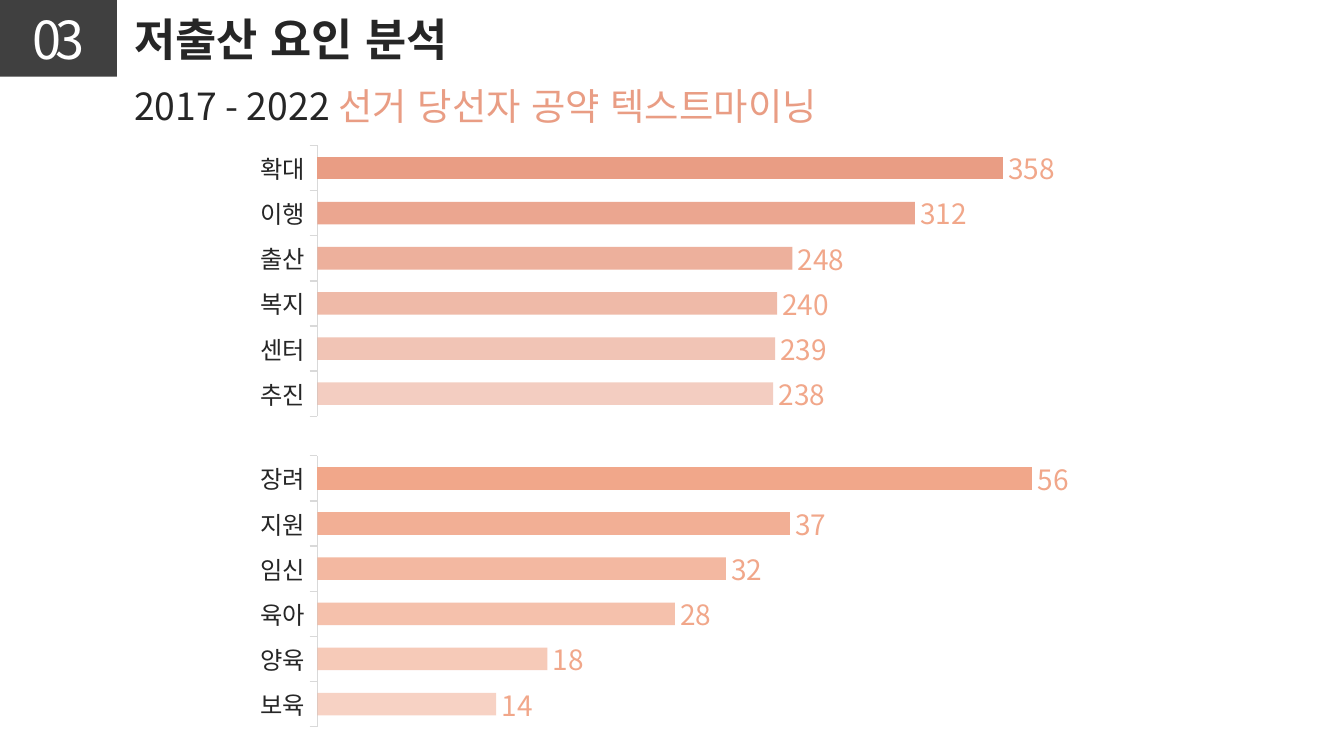
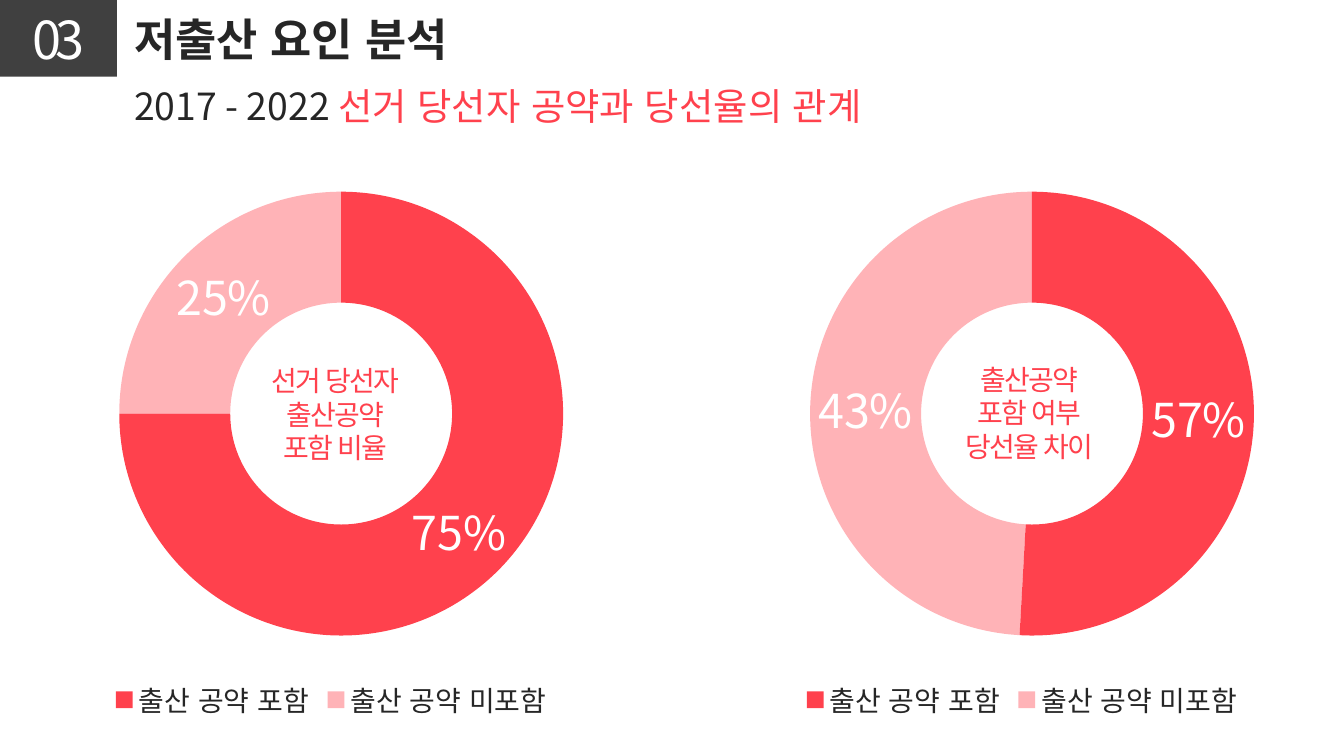
"""Build two slides on election pledges and the low birth rate."""
from lxml.etree import SubElement
from pptx import Presentation
from pptx.chart.data import CategoryChartData
from pptx.dml.color import RGBColor
from pptx.enum.chart import (
    XL_CHART_TYPE as ChartType,
    XL_LABEL_POSITION as LabelPosition,
    XL_LEGEND_POSITION as LegendPosition,
    XL_TICK_MARK as TickMark,
)
from pptx.enum.lang import MSO_LANGUAGE_ID as Language
from pptx.enum.shapes import MSO_SHAPE as Shape
from pptx.enum.text import MSO_ANCHOR as Anchor, MSO_AUTO_SIZE as AutoSize, PP_ALIGN as Align
from pptx.oxml import parse_xml
from pptx.oxml.ns import nsdecls, qn
from pptx.util import Inches, Pt

FONT = "Noto Sans CJK KR"
INK, BAND, WHITE, RULE = "262626", "404040", "FFFFFF", "D9D9D9"
SALMON, PEACH, RED = "E99D84", "F1A78A", "FF414D"
PLEDGE_CATEGORIES = ["출산 공약 포함", "출산 공약 미포함"]
RING_PLOT = {"x": 0.18, "y": 0.057, "w": 0.67, "h": 0.826}


def rgb(color):
    return RGBColor.from_string(color)


def style(font, size, color, bold=False, spacing=0):
    font.size = Pt(size)
    font.bold = bold
    font.color.rgb = rgb(color)
    font.name = FONT
    font.language_id = Language.KOREAN
    SubElement(font._rPr, qn("a:ea"), typeface=FONT)
    font._rPr.set("kern", "0")
    if spacing:
        font._rPr.set("spc", str(spacing * 100))


def paint(fill, color, opacity=100):
    fill.solid()
    fill.fore_color.rgb = rgb(color)
    if opacity < 100:
        tint = fill._xPr.find(qn("a:solidFill"))[0]
        SubElement(tint, qn("a:alpha"), val=str(opacity * 1000))


def add_text_box(page, left, top, width, height):
    box = page.shapes.add_textbox(Inches(left), Inches(top), Inches(width), Inches(height))
    box.text_frame.word_wrap = False
    return box.text_frame


def add_heading(page, topic, accent, width):
    title = page.shapes.title
    title.left, title.top = Inches(0.9), Inches(0.04)
    title.width, title.height = Inches(2.8), Inches(0.5)
    frame = title.text_frame
    frame.text = "저출산 요인 분석"
    frame.word_wrap = False
    frame.auto_size = AutoSize.SHAPE_TO_FIT_TEXT
    frame.vertical_anchor = Anchor.TOP
    frame.paragraphs[0].alignment = Align.LEFT
    style(frame.paragraphs[0].font, 24, INK, bold=True)

    band = page.shapes.add_shape(Shape.RECTANGLE, 0, 0, Inches(0.87), Inches(0.57))
    band.shadow.inherit = False
    paint(band.fill, BAND)
    band.line.fill.background()
    band.text_frame.text = "03"
    band.text_frame.vertical_anchor = Anchor.MIDDLE
    number = band.text_frame.paragraphs[0]
    number.alignment = Align.CENTER
    style(number.font, 28, WHITE, spacing=-3)

    subtitle = add_text_box(page, 0.9, 0.57, width, 0.44)
    subtitle.auto_size = AutoSize.SHAPE_TO_FIT_TEXT
    for text, color in (("2017 - 2022 ", INK), (topic, accent)):
        span = subtitle.paragraphs[0].add_run()
        span.text = text
        style(span.font, 20, color)


def add_chart(page, kind, place, categories, values):
    data = CategoryChartData()
    data.categories = categories
    data.add_series("Series 1", values)
    chart = page.shapes.add_chart(kind, *map(Inches, place), data).chart
    chart.has_title = False
    style(chart.font, 10, "000000")
    return chart


def add_labels(series, size, color):
    labels = series.data_labels
    labels.show_value = True
    labels.show_percentage = False
    style(labels.font, size, color)
    return labels


def add_word_bars(page, top, counts, color, maximum):
    chart = add_chart(page, ChartType.BAR_CLUSTERED, (1.81, top, 6.38, 2.1),
                      list(counts), list(counts.values()))
    chart.has_legend = False
    plot = chart.plots[0]
    plot.gap_width = 100
    plot.vary_by_categories = False
    series = plot.series[0]
    add_labels(series, 15, PEACH).position = LabelPosition.OUTSIDE_END
    for index in range(len(counts)):
        paint(series.points[index].format.fill, color, 50 + 10 * index)

    words = chart.category_axis
    words.major_tick_mark = TickMark.OUTSIDE
    words.minor_tick_mark = TickMark.NONE
    words.format.line.color.rgb = rgb(RULE)
    words.format.line.width = Pt(0.75)
    style(words.tick_labels.font, 13, INK)

    scale = chart.value_axis
    scale.visible = False
    scale.has_major_gridlines = False
    scale.minimum_scale, scale.maximum_scale = 0, maximum


def fix_plot_area(chart):
    area = chart._chartSpace.chart.plotArea
    for layout in area.findall(qn("c:layout")):
        area.remove(layout)
    sizes = "".join(f'<c:{key} val="{value}"/>' for key, value in RING_PLOT.items())
    area.insert(0, parse_xml(
        f'<c:layout {nsdecls("c")}><c:manualLayout><c:layoutTarget val="inner"/>'
        f'<c:xMode val="edge"/><c:yMode val="edge"/>{sizes}</c:manualLayout></c:layout>'))


def add_pledge_ring(page, left, values):
    chart = add_chart(page, ChartType.DOUGHNUT, (left, 1.02, 4.93, 4.38),
                      PLEDGE_CATEGORIES, values)
    fix_plot_area(chart)
    chart.has_legend = True
    chart.legend.position = LegendPosition.BOTTOM
    chart.legend.include_in_layout = False
    style(chart.legend.font, 15, INK)
    series = chart.plots[0].series[0]
    labels = add_labels(series, 25, WHITE)
    labels.number_format = "0%"
    labels.number_format_is_linked = False
    for point, opacity in enumerate((100, 40)):
        paint(series.points[point].format.fill, RED, opacity)
    return series


def set_point_label(series, index, text):
    frame = series.points[index].data_label.text_frame
    frame.text = text
    style(frame.paragraphs[0].runs[0].font, 25, WHITE)


def add_ring_caption(page, place, lines):
    frame = add_text_box(page, *place)
    frame.margin_left = frame.margin_right = 0
    frame.vertical_anchor = Anchor.MIDDLE
    frame.text = "\n".join(lines)
    for para in frame.paragraphs:
        para.alignment = Align.CENTER
        style(para.font, 15, RED, spacing=-1)


def add_text_mining_page(deck):
    page = deck.slides.add_slide(deck.slide_layouts[5])
    add_heading(page, "선거 당선자 공약 텍스트마이닝", SALMON, 5.82)
    add_word_bars(page, 1.04, {"추진": 238, "센터": 239, "복지": 240,
                               "출산": 248, "이행": 312, "확대": 358}, SALMON, 400)
    add_word_bars(page, 3.35, {"보육": 14, "양육": 18, "육아": 28,
                               "임신": 32, "지원": 37, "장려": 56}, PEACH, 60)


def add_win_rate_page(deck):
    page = deck.slides.add_slide(deck.slide_layouts[5])
    add_heading(page, "선거 당선자 공약과 당선율의 관계", RED, 6.17)
    add_pledge_ring(page, 0, (0.75, 0.25))
    add_ring_caption(page, (1.95, 2.73, 1.09, 0.7), ("선거 당선자", "출산공약", "포함 비율"))
    win_rates = add_pledge_ring(page, 5.14, (0.57, 0.55))
    set_point_label(win_rates, 1, "43%")
    add_ring_caption(page, (7.03, 2.66, 1.26, 0.82), ("출산공약", "포함 여부", "당선율 차이"))


def main():
    deck = Presentation()
    deck.slide_width = Inches(10)
    deck.slide_height = deck.slide_width * 9 // 16
    add_text_mining_page(deck)
    add_win_rate_page(deck)
    deck.save("out.pptx")


if __name__ == "__main__":
    main()
